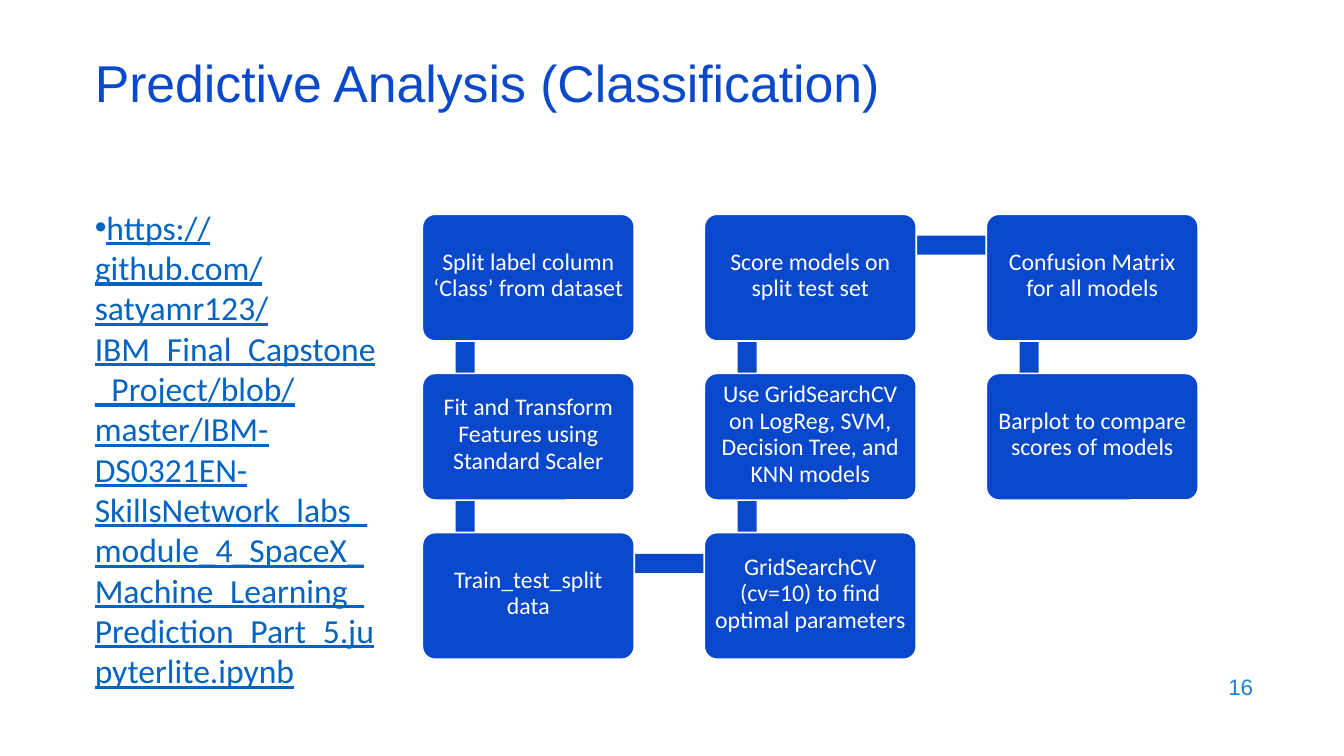
from lxml.etree import SubElement
from pptx import Presentation
from pptx.dml.color import RGBColor
from pptx.enum.shapes import MSO_SHAPE
from pptx.enum.text import MSO_ANCHOR, MSO_AUTO_SIZE, PP_ALIGN
from pptx.oxml.ns import qn
from pptx.util import Pt

BLUE, WHITE, LINK, NUMBER = "0948CB", "FFFFFF", "0563C1", "1C7DDB"
BOX_LEFT, BOX_TOP = 301.7, 153
BOX_WIDTH, BOX_HEIGHT = 151.4, 90.5
COLUMN_STEP, ROW_STEP = 201.4, 113.7
BAR = 13.6
NOTEBOOK = (
    "https://github.com/satyamr123/IBM_Final_Capstone_Project/blob/master/"
    "IBM-DS0321EN-SkillsNetwork_labs_module_4_SpaceX_Machine_Learning_"
    "Prediction_Part_5.jupyterlite.ipynb"
)
STEPS = [
    (0, 0, ["Split label column", "‘Class’ from dataset"]),
    (0, 1, ["Fit and Transform", "Features using", "Standard Scaler"]),
    (0, 2, ["Train_test_split", "data"]),
    (1, 2, ["GridSearchCV", "(cv=10) to find", "optimal parameters"]),
    (1, 1, ["Use GridSearchCV", "on LogReg, SVM,", "Decision Tree, and", "KNN models"]),
    (1, 0, ["Score models on", "split test set"]),
    (2, 0, ["Confusion Matrix", "for all models"]),
    (2, 1, ["Barplot to compare", "scores of models"]),
]


def color(value):
    """Turn a hex string into a colour."""
    return RGBColor.from_string(value)


def place(shape, left, top, width, height):
    """Set the position and size of a shape in points."""
    shape.left, shape.top = Pt(left), Pt(top)
    shape.width, shape.height = Pt(width), Pt(height)


def add_run(paragraph, text, font, size, fill):
    """Append a formatted run to a paragraph."""
    run = paragraph.add_run()
    run.text = text
    run.font.name = font
    run.font.size = Pt(size)
    run.font.color.rgb = color(fill)
    return run


def prepare_frame(shape, anchor):
    """Make a text frame wrap at a fixed size and return it."""
    frame = shape.text_frame
    frame.word_wrap = True
    frame.auto_size = MSO_AUTO_SIZE.NONE
    frame.vertical_anchor = anchor
    return frame


def fill_title(slide):
    """Place and write the slide title."""
    title = slide.shapes.title
    place(title, 60.5, 42.5, 828, 43.2)
    paragraph = prepare_frame(title, MSO_ANCHOR.MIDDLE).paragraphs[0]
    paragraph.alignment = PP_ALIGN.LEFT
    paragraph.line_spacing = 0.7
    add_run(paragraph, "Predictive Analysis (Classification)", "Arial", 37, "0B49CB")


def fill_body(slide):
    """Place the body and write the notebook address as its bullet."""
    body = slide.placeholders[1]
    place(body, 60.5, 144, 216.7, 330.5)
    paragraph = prepare_frame(body, MSO_ANCHOR.TOP).paragraphs[0]
    properties = paragraph._p.get_or_add_pPr()
    properties.set("marL", "0")
    properties.set("indent", "0")
    SubElement(properties, qn("a:buFont")).set("typeface", "Arial")
    SubElement(properties, qn("a:buChar")).set("char", "•")
    paragraph.space_before = Pt(0)
    paragraph.line_spacing = Pt(28.8)
    add_run(paragraph, NOTEBOOK, "Calibri", 24, LINK).font.underline = True


def add_block(slide, kind, left, top, width, height):
    """Add a blue shape without shadow."""
    block = slide.shapes.add_shape(kind, Pt(left), Pt(top), Pt(width), Pt(height))
    block.shadow.inherit = False
    block.fill.solid()
    block.fill.fore_color.rgb = color(BLUE)
    block.line.fill.background()
    return block


def add_bar(slide, start, end):
    """Add the bar that runs behind two neighbouring steps."""
    left = BOX_LEFT + start[0] * COLUMN_STEP
    top = BOX_TOP + min(start[1], end[1]) * ROW_STEP
    if start[0] == end[0]:
        add_block(slide, MSO_SHAPE.RECTANGLE, left + 23.8, top + 23, BAR, ROW_STEP)
    else:
        add_block(slide, MSO_SHAPE.RECTANGLE, left + 31, top + 15.3, COLUMN_STEP, BAR)


def add_step(slide, column, row, lines):
    """Add one rounded step box with its text."""
    box = add_block(slide, MSO_SHAPE.ROUNDED_RECTANGLE, BOX_LEFT + column * COLUMN_STEP,
                    BOX_TOP + row * ROW_STEP, BOX_WIDTH, BOX_HEIGHT)
    box.adjustments[0] = 0.1
    box.line.color.rgb = color(WHITE)
    box.line.width = Pt(1.2)
    frame = prepare_frame(box, MSO_ANCHOR.MIDDLE)
    frame.margin_left = frame.margin_right = frame.margin_top = Pt(0)
    frame.margin_bottom = Pt(4)
    paragraph = frame.paragraphs[0]
    paragraph.alignment = PP_ALIGN.CENTER
    paragraph.line_spacing = Pt(19)
    for index, line in enumerate(lines):
        if index:
            paragraph.add_line_break()
        add_run(paragraph, line, "Calibri", 17, WHITE)


def add_slide_number(slide):
    """Add the page number at the lower right."""
    box = slide.shapes.add_textbox(Pt(686.2), Pt(474.5), Pt(216), Pt(31.7))
    paragraph = prepare_frame(box, MSO_ANCHOR.MIDDLE).paragraphs[0]
    paragraph.alignment = PP_ALIGN.RIGHT
    add_run(paragraph, "16", "Arial", 16, NUMBER)


def main():
    """Build the slide and save it."""
    presentation = Presentation()
    presentation.slide_width, presentation.slide_height = Pt(960), Pt(540)
    slide = presentation.slides.add_slide(presentation.slide_layouts[1])
    fill_title(slide)
    fill_body(slide)
    for start, end in zip(STEPS, STEPS[1:]):
        add_bar(slide, start, end)
    for column, row, lines in STEPS:
        add_step(slide, column, row, lines)
    add_slide_number(slide)
    presentation.save("out.pptx")


if __name__ == "__main__":
    main()
